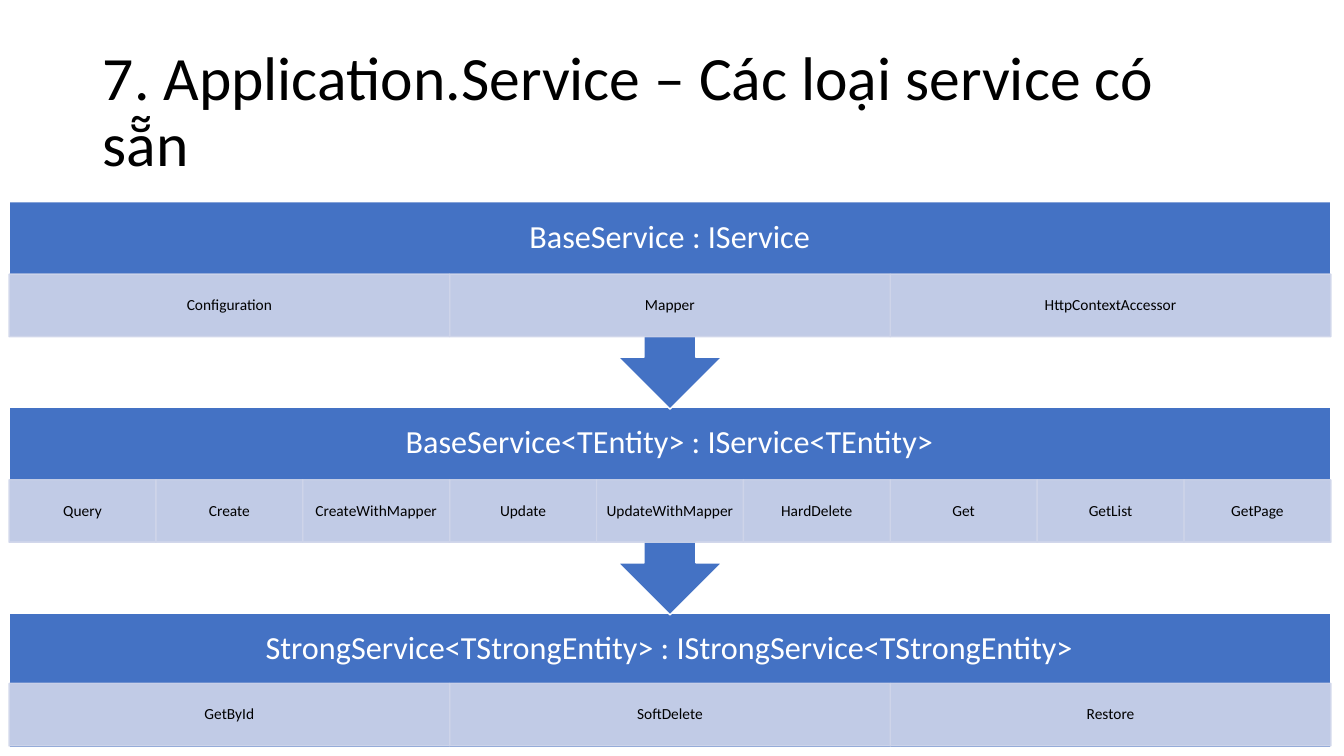
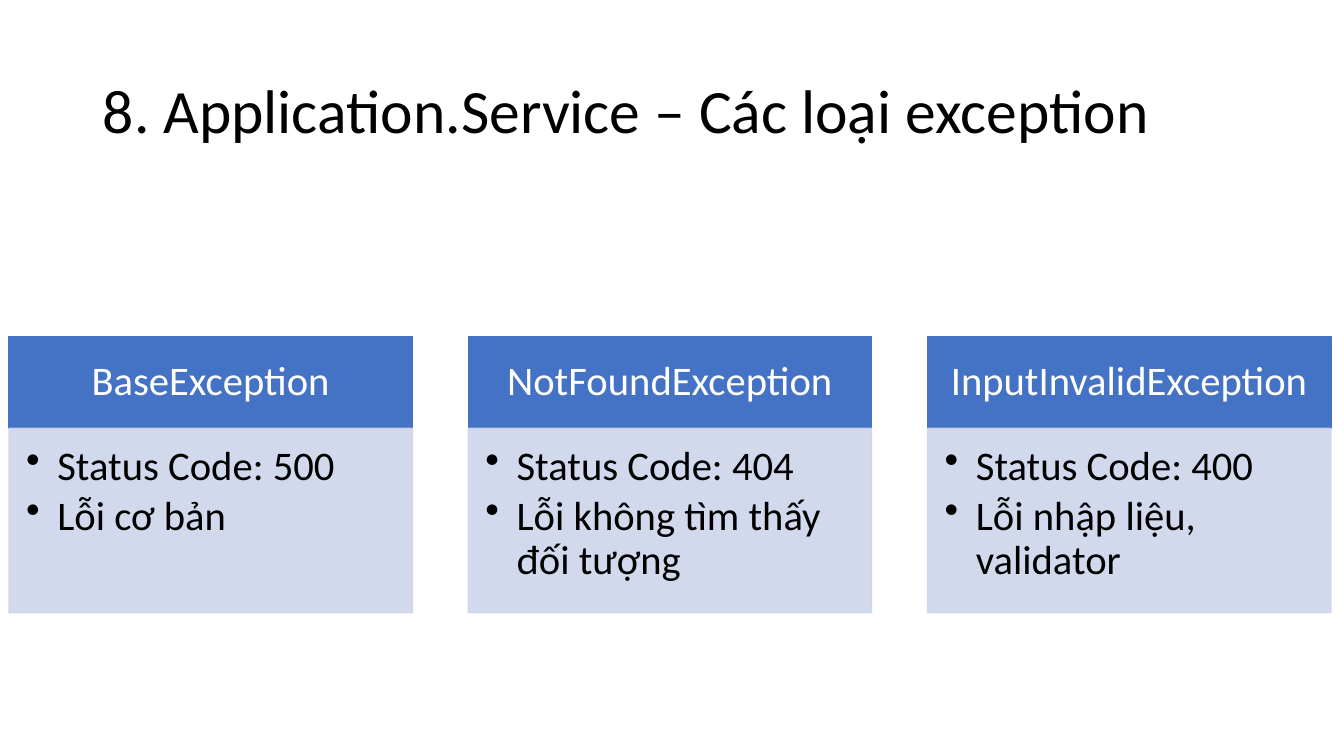
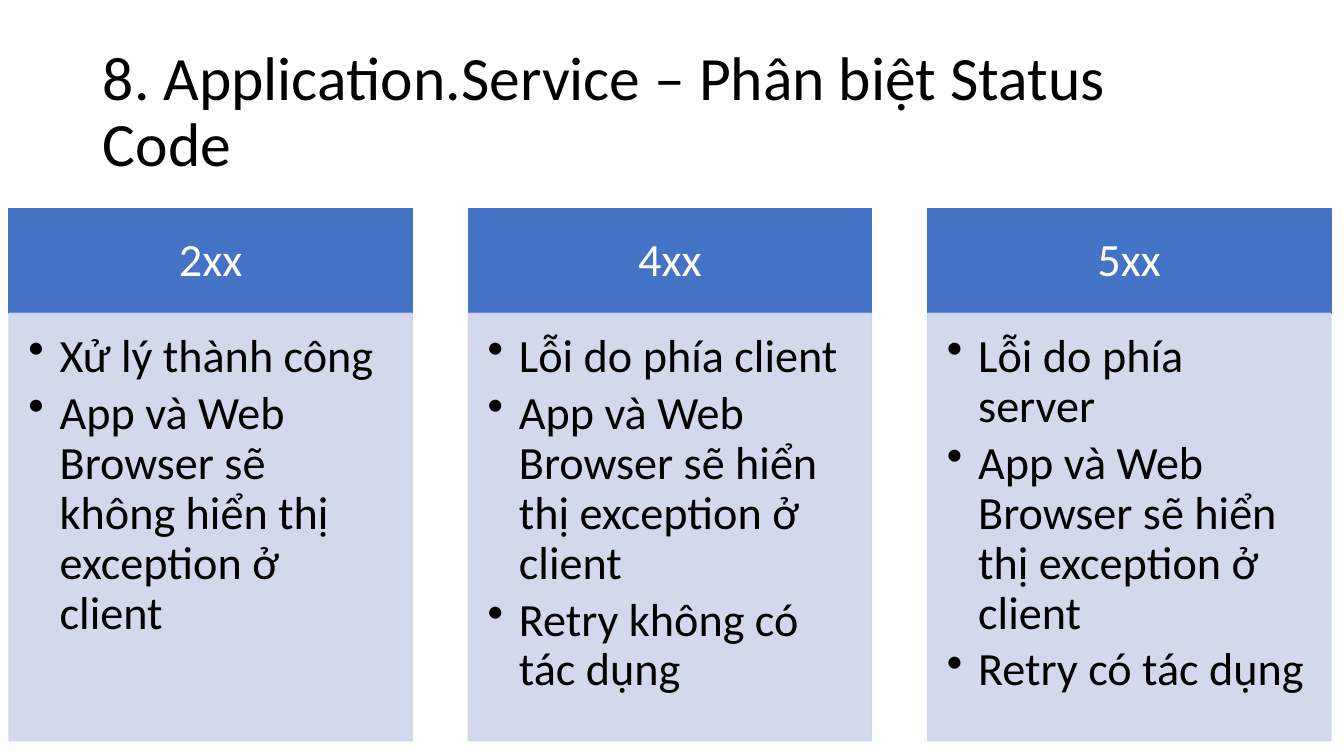
from lxml import etree
from pptx import Presentation
from pptx.dml.color import RGBColor
from pptx.enum.shapes import MSO_SHAPE as SHAPE
from pptx.enum.text import MSO_ANCHOR as ANCHOR, MSO_AUTO_SIZE as AUTO, PP_ALIGN as ALIGN
from pptx.oxml.ns import qn
from pptx.util import Inches, Pt

BLUE = RGBColor(0x44, 0x72, 0xC4)
PALE = RGBColor(0xCF, 0xD5, 0xEA)
WHITE = RGBColor(0xFF, 0xFF, 0xFF)
BLACK = RGBColor(0x00, 0x00, 0x00)

# Shared grid, in inches
LEFT, WIDTH = 0.09, 13.11
CARD_W = 4
CELL_H = 0.62
STAGE_H, STAGE_STEP = 1.34, 2.04
CALLOUT_H = 2.06


class Deck:
    """Holds the shared style and the current slide."""

    font = "Calibri"
    title_size = 44

    def __init__(self):
        self.prs = Presentation()
        self.prs.slide_width = Inches(13.33)
        self.prs.slide_height = Inches(7.5)
        self.s = None

    def slide(self, title):
        self.s = self.prs.slides.add_slide(self.prs.slide_layouts[5])
        sp = self.s.shapes.title
        sp.left, sp.top = Inches(0.92), Inches(0.4)
        sp.width, sp.height = Inches(11.5), Inches(1.45)
        self.text(sp, [title], self.title_size, BLACK, ALIGN.LEFT, (0.1, 0.05, 0.1, 0.05))

    def text(self, sp, lines, size, color, align=ALIGN.CENTER, insets=(0.09, 0.02, 0.09, 0.02)):
        tf = sp.text_frame
        tf.text = "\n".join(lines)
        tf.word_wrap = True
        tf.auto_size = AUTO.NONE
        tf.vertical_anchor = ANCHOR.MIDDLE
        tf.margin_left, tf.margin_top, tf.margin_right, tf.margin_bottom = map(Inches, insets)
        for p in tf.paragraphs:
            p.alignment = align
            p.line_spacing = 0.9
            p.space_before = Pt(0)
            for r in p.runs:
                r.font.name = self.font
                r.font.size = Pt(size)
                r.font.color.rgb = color
        return tf

    def box(self, x, y, w, h, fill=BLUE, line=BLUE, kind=SHAPE.RECTANGLE):
        sp = self.s.shapes.add_shape(kind, Inches(x), Inches(y), Inches(w), Inches(h))
        sp.shadow.inherit = False
        sp.fill.solid()
        sp.fill.fore_color.rgb = fill
        sp.line.color.rgb = line
        sp.line.width = Pt(1)
        return sp

    def pale_box(self, x, y, w, h):
        """Box whose fill and line are 90% opaque."""
        sp = self.box(x, y, w, h, PALE, PALE)
        for clr in sp._element.spPr.iter(qn("a:srgbClr")):
            etree.SubElement(clr, qn("a:alpha")).set("val", "90000")
        return sp

    def stage(self, y, head, cells, last=False):
        """Full-width band with a row of cells; all but the last point down."""
        kind, h = (SHAPE.RECTANGLE, STAGE_H) if last else (SHAPE.DOWN_ARROW_CALLOUT, CALLOUT_H)
        sp = self.box(LEFT, y, WIDTH, h, BLUE, WHITE, kind)
        self.text(sp, [head], 23, WHITE, insets=(0.18, 0, 0.18, CELL_H))
        cell_w = WIDTH / len(cells)
        cell_y = y + (0.7 if last else 0.72)
        for i, name in enumerate(cells):
            cell = self.pale_box(LEFT + i * cell_w, cell_y, cell_w, CELL_H)
            self.text(cell, [name], 11, BLACK)

    def bullets(self, sp, lines, size):
        em = size / 72
        insets = (0.42 * em, 0.42 * em, 0.56 * em, 0.64 * em)
        tf = self.text(sp, lines, size, BLACK, ALIGN.LEFT, insets)
        tf.vertical_anchor = ANCHOR.TOP
        for p in tf.paragraphs:
            p.space_after = Pt(0.15 * size)
            pPr = p._p.get_or_add_pPr()
            pPr.set("marL", str(Inches(0.31)))
            pPr.set("indent", str(-Inches(0.31)))
            etree.SubElement(pPr, qn("a:buChar")).set("char", "•")

    def cards(self, y, head_h, body_h, size, cards):
        """Equal columns, each a blue head above a bulleted body."""
        step = (WIDTH - CARD_W) / (len(cards) - 1)
        for i, (head, lines) in enumerate(cards):
            x = LEFT + i * step
            sp = self.box(x, y, CARD_W, head_h)
            self.text(sp, [head], size, WHITE, insets=(0.2, 0.13, 0.2, 0.13))
            self.bullets(self.pale_box(x, y + head_h, CARD_W, body_h), lines, size)


def main():
    deck = Deck()

    # Service hierarchy, drawn bottom up so that arrow tips lie on top
    deck.slide("7. Application.Service – Các loại service có sẵn")
    stages = [
        ("BaseService : IService", ["Configuration", "Mapper", "HttpContextAccessor"]),
        ("BaseService<TEntity> : IService<TEntity>",
         ["Query", "Create", "CreateWithMapper", "Update", "UpdateWithMapper",
          "HardDelete", "Get", "GetList", "GetPage"]),
        ("StrongService<TStrongEntity> : IStrongService<TStrongEntity>",
         ["GetById", "SoftDelete", "Restore"]),
    ]
    for i, (head, cells) in reversed(list(enumerate(stages))):
        deck.stage(2 + i * STAGE_STEP, head, cells, last=i == len(stages) - 1)

    # Exception types
    deck.slide("8. Application.Service – Các loại exception")
    deck.cards(3.34, 0.91, 1.83, 29, [
        ("BaseException", ["Status Code: 500", "Lỗi cơ bản"]),
        ("NotFoundException", ["Status Code: 404", "Lỗi không tìm thấy đối tượng"]),
        ("InputInvalidException", ["Status Code: 400", "Lỗi nhập liệu, validator"]),
    ])

    # Status code families
    deck.slide("8. Application.Service – Phân biệt Status Code")
    shown = "App và Web Browser sẽ hiển thị exception ở client"
    deck.cards(2.07, 1.04, 4.24, 33, [
        ("2xx", ["Xử lý thành công",
                 "App và Web Browser sẽ không hiển thị exception ở client"]),
        ("4xx", ["Lỗi do phía client", shown, "Retry không có tác dụng"]),
        ("5xx", ["Lỗi do phía server", shown, "Retry có tác dụng"]),
    ])

    deck.prs.save("out.pptx")


if __name__ == "__main__":
    main()
